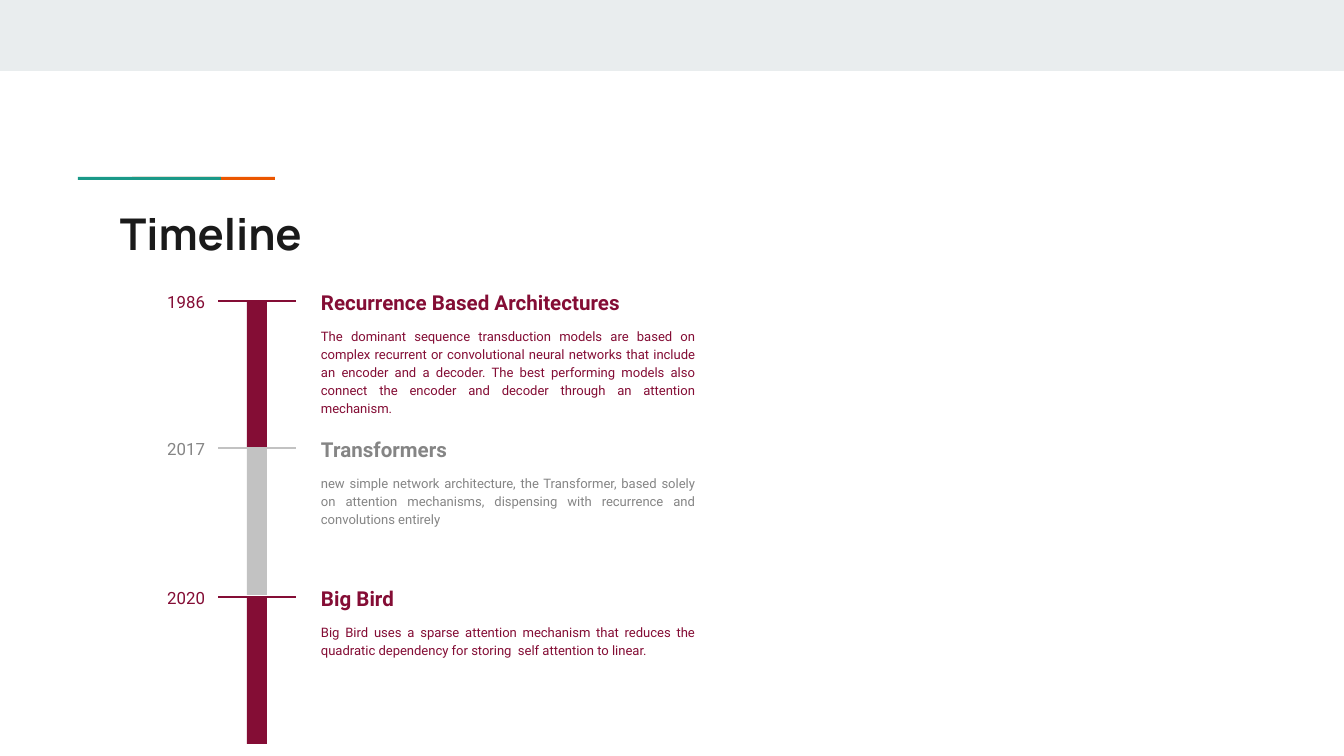
from lxml import etree
from pptx import Presentation
from pptx.dml.color import RGBColor
from pptx.enum.shapes import MSO_CONNECTOR, MSO_SHAPE
from pptx.enum.text import MSO_ANCHOR, PP_ALIGN
from pptx.oxml.ns import qn
from pptx.util import Emu, Pt

RECT = MSO_SHAPE.RECTANGLE
STRAIGHT = MSO_CONNECTOR.STRAIGHT
TOP, MIDDLE = MSO_ANCHOR.TOP, MSO_ANCHOR.MIDDLE
LEFT, RIGHT, JUSTIFY = PP_ALIGN.LEFT, PP_ALIGN.RIGHT, PP_ALIGN.JUSTIFY

PALE = RGBColor(0xE9, 0xED, 0xEE)
ORANGE = RGBColor(0xEB, 0x56, 0x00)
TEAL = RGBColor(0x1A, 0x99, 0x88)
INK = RGBColor(0x1A, 0x1A, 0x1A)
WINE = RGBColor(0x84, 0x0D, 0x35)
SILVER = RGBColor(0xC2, 0xC2, 0xC2)
GREY = RGBColor(0x85, 0x85, 0x85)

SCALE = 914400 / 134.4
INSET = 13

EVENTS = [
    (301, "1986", "Recurrence Based Architectures",
     "The dominant sequence transduction models are based on complex recurrent "
     "or convolutional neural networks that include an encoder and a decoder. "
     "The best performing models also connect the encoder and decoder through "
     "an attention mechanism.", 106, WINE, WINE),
    (448, "2017", "Transformers",
     "new simple network architecture, the Transformer, based solely on "
     "attention mechanisms, dispensing with recurrence and convolutions "
     "entirely", 73, SILVER, GREY),
    (597, "2020", "Big Bird",
     "Big Bird uses a sparse attention mechanism that reduces the quadratic "
     "dependency for storing  self attention to linear.", 60, WINE, WINE),
]


def px(n):
    return Emu(round(n * SCALE))


def add_bar(slide, x, y, w, h, color):
    bar = slide.shapes.add_shape(RECT, px(x), px(y), px(w), px(h))
    bar.shadow.inherit = False
    bar.fill.solid()
    bar.fill.fore_color.rgb = color
    bar.line.fill.background()


def add_tick(slide, x, y, end, color):
    tick = slide.shapes.add_connector(STRAIGHT, px(end), px(y), px(x), px(y))
    tick.line.color.rgb = color
    tick.line.width = Pt(0.75)
    etree.SubElement(tick._element.spPr, qn("a:effectLst"))


def add_text(slide, x, y, w, h, text, size, color, font="Roboto", bold=False,
             align=LEFT, anchor=TOP, lead=1.15, after=0):
    frame = slide.shapes.add_textbox(px(x), px(y), px(w), px(h)).text_frame
    frame.word_wrap = True
    frame.vertical_anchor = anchor
    frame.margin_left = frame.margin_right = px(INSET)
    frame.margin_top = frame.margin_bottom = px(INSET)
    para = frame.paragraphs[0]
    para.alignment = align
    para.line_spacing = lead
    para.space_after = Pt(after)
    run = para.add_run()
    run.text = text
    run.font.name = font
    run.font.size = Pt(size)
    run.font.bold = bold
    run.font.color.rgb = color


def add_event(slide, top, year, head, body, depth, fill, ink):
    add_bar(slide, 247, top, 20, 147, fill)
    add_tick(slide, 218, top, 296, fill)
    add_text(slide, 308, top - 28, 400, 40, head, 11, ink, bold=True)
    add_text(slide, 308, top + 12, 400, depth, body, 7, ink,
             align=JUSTIFY, after=16)
    add_text(slide, 107, top - 24, 111, 51, year, 9, ink, align=RIGHT)


def main():
    deck = Presentation()
    deck.slide_width, deck.slide_height = px(1344), px(756)
    slide = deck.slides.add_slide(deck.slide_layouts[6])
    add_bar(slide, 0, 0, 1344, 71, PALE)
    add_bar(slide, 132, 177, 143, 3, ORANGE)
    add_bar(slide, 78, 177, 143, 3, TEAL)
    add_text(slide, 107, 194, 1130, 79, "Timeline", 23.4, INK,
             font="Manrope", bold=True, anchor=MIDDLE, lead=1)
    for event in EVENTS:
        add_event(slide, *event)
    deck.save("out.pptx")


if __name__ == "__main__":
    main()
